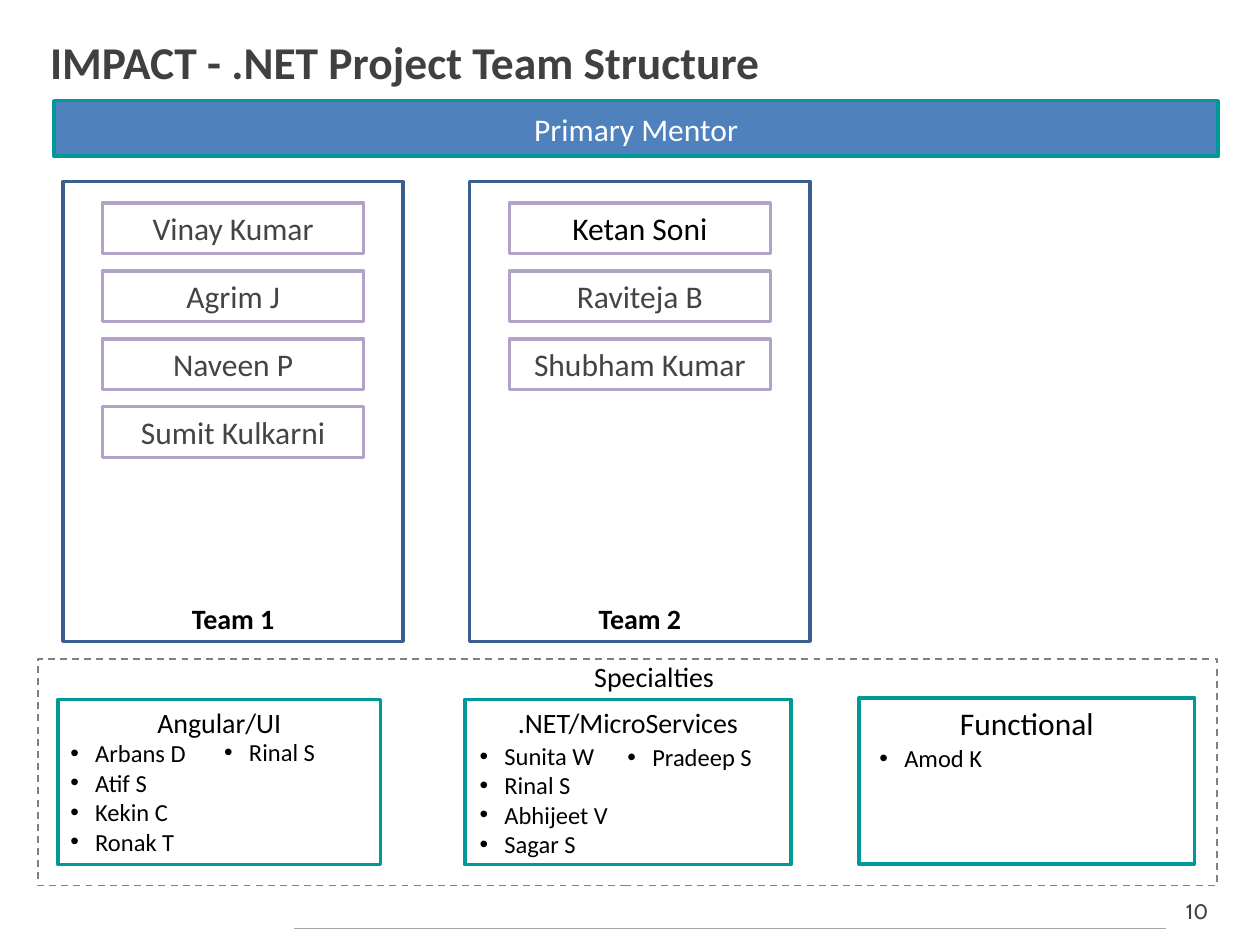
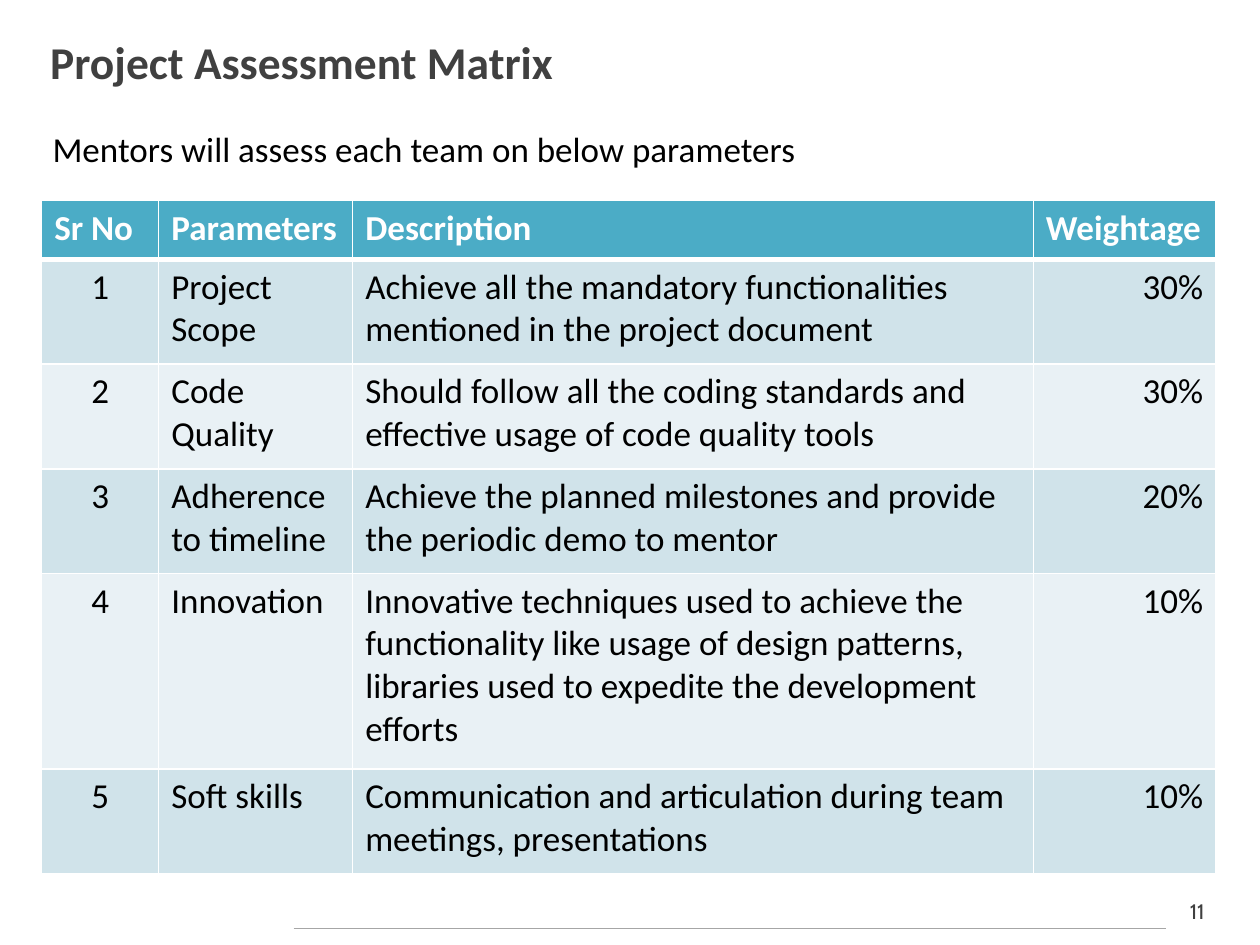
import pptx
import pptx.util
import pptx.dml.color
import pptx.enum.dml
import pptx.enum.shapes
import pptx.enum.text
import pptx.oxml.ns
from dataclasses import dataclass
from lxml import etree

Cm, Pt = pptx.util.Cm, pptx.util.Pt
ALIGN = pptx.enum.text.PP_ALIGN
ANCHOR = pptx.enum.text.MSO_ANCHOR
qn = pptx.oxml.ns.qn


@dataclass(frozen=True)
class Theme:
    font: str = "Calibri"
    number_font: str = "Cabin"
    title_size: int = 26
    lead_size: int = 20
    name_size: int = 18
    label_size: int = 16
    list_size: int = 14
    number_size: int = 12
    heading: str = "404040"
    ink: str = "000000"
    member_ink: str = "444444"
    white: str = "FFFFFF"
    rule: str = "A6A6A6"
    dashes: str = "808080"
    mentor: str = "4F81BD"
    teal: str = "009999"
    team: str = "3A5F8C"
    member: str = "B3A2C7"
    header: str = "4BACC6"
    bands: tuple = ("D0E3EA", "E9F1F5")


THEME = Theme()

# Content: team structure
TEAMS = [
    ("Team 1", ["Vinay Kumar", "Agrim J", "Naveen P", "Sumit Kulkarni"]),
    ("Team 2", ["Ketan Soni", "Raviteja B", "Shubham Kumar"]),
]
TEAM_LEADS_IN_BLACK = {"Ketan Soni"}

# Each specialty: name, type size, box, then its lists as (place, people)
SPECIALTIES = [
    ("Angular/UI", THEME.label_size, (1.17, 14.1, 6.5, 3.33), [
        ((1.17, 14.76, 3.71, 2.64), ["Arbans D", "Atif S", "Kekin C", "Ronak T"]),
        ((4.27, 14.73, 3.4, 0.86), ["Rinal S"]),
    ]),
    (".NET/MicroServices", THEME.label_size, (9.37, 14.1, 6.58, 3.33), [
        ((9.42, 14.81, 3.33, 2.64), ["Sunita W", "Rinal S", "Abhijeet V", "Sagar S"]),
        ((12.4, 14.83, 3.73, 0.86), ["Pradeep S"]),
    ]),
    ("Functional", THEME.name_size, (17.32, 14.07, 6.76, 3.35), [
        ((17.48, 14.86, 3.96, 1.45), ["Amod K"]),
    ]),
]

# Content: assessment matrix
MATRIX_HEAD = ("Sr No", "Parameters", "Description", "Weightage")
CRITERIA = [
    ("Project Scope", "Achieve all the mandatory functionalities mentioned in the project document", "30%"),
    ("Code Quality", "Should follow all the coding standards and effective usage of code quality tools", "30%"),
    ("Adherence to timeline", "Achieve the planned milestones and provide the periodic demo to mentor", "20%"),
    ("Innovation", "Innovative techniques used to achieve the functionality like usage of design "
                   "patterns, libraries used to expedite the development efforts", "10%"),
    ("Soft skills", "Communication and articulation during team meetings, presentations", "10%"),
]
COLUMN_WIDTHS = (2.36, 3.91, 13.72, 3.68)
COLUMN_ALIGNS = (ALIGN.CENTER, ALIGN.LEFT, ALIGN.LEFT, ALIGN.RIGHT)
ROW_HEIGHTS = (1.19, 2.11, 2.11, 2.11, 3.94, 2.11)


def rgb(colour):
    return pptx.dml.color.RGBColor.from_string(colour)


def write(frame, lines, size, colour, align=ALIGN.LEFT, bold=False, font=THEME.font):
    for number, line in enumerate(lines):
        paragraph = frame.add_paragraph() if number else frame.paragraphs[0]
        paragraph.text = line
        paragraph.alignment = align
        paragraph.font.name = font
        paragraph.font.size = Pt(size)
        paragraph.font.bold = bold
        paragraph.font.color.rgb = rgb(colour)


def add_text(slide, place, lines, size, colour, anchor=ANCHOR.TOP, **style):
    frame = slide.shapes.add_textbox(*map(Cm, place)).text_frame
    frame.word_wrap = True
    frame.vertical_anchor = anchor
    write(frame, lines, size, colour, **style)
    return frame


def add_box(slide, place, outline, text="", size=THEME.name_size, colour=THEME.ink,
            fill=None, width=2, anchor=ANCHOR.MIDDLE, bold=False):
    box = slide.shapes.add_shape(pptx.enum.shapes.MSO_SHAPE.RECTANGLE, *map(Cm, place))
    box.shadow.inherit = False
    if fill:
        box.fill.solid()
        box.fill.fore_color.rgb = rgb(fill)
    else:
        box.fill.background()
    box.line.color.rgb = rgb(outline)
    box.line.width = Pt(width)
    if text:
        box.text_frame.vertical_anchor = anchor
        write(box.text_frame, [text], size, colour, ALIGN.CENTER, bold)
    return box


def add_bullets(slide, place, people):
    frame = add_text(slide, place, people, THEME.list_size, THEME.ink)
    for paragraph in frame.paragraphs:
        properties = paragraph._p.get_or_add_pPr()
        properties.set("marL", str(Cm(0.5)))
        properties.set("indent", str(-Cm(0.5)))
        bullet_font = etree.SubElement(properties, qn("a:buFont"))
        bullet_font.set("typeface", "Arial")
        etree.SubElement(properties, qn("a:buChar")).set("char", "•")


def add_page(deck, title, number):
    """Blank slide with the shared title, footer rule and page number."""
    slide = deck.slides.add_slide(deck.slide_layouts[6])
    add_text(slide, (23.5, 17.98, 1.27, 0.76), [str(number)], THEME.number_size,
             THEME.heading, align=ALIGN.CENTER, font=THEME.number_font)
    rule = slide.shapes.add_connector(pptx.enum.shapes.MSO_CONNECTOR.STRAIGHT,
                                      Cm(5.92), Cm(18.72), Cm(23.5), Cm(18.72))
    rule.line.color.rgb = rgb(THEME.rule)
    rule.line.width = Pt(0.75)
    etree.SubElement(rule._element.spPr, qn("a:effectLst"))
    add_text(slide, (0.76, 0.43, 23.77, 1.6), [title], THEME.title_size, THEME.heading,
             ANCHOR.MIDDLE, bold=True)
    return slide


def set_borders(cell, **widths):
    properties = cell._tc.get_or_add_tcPr()
    for side in "LRTB":
        line = etree.SubElement(properties, qn(f"a:ln{side}"))
        line.set("w", str(Pt(widths.get(side, 1))))
        fill = etree.SubElement(line, qn("a:solidFill"))
        etree.SubElement(fill, qn("a:srgbClr")).set("val", THEME.white)


def build_team_structure(deck):
    slide = add_page(deck, "IMPACT - .NET Project Team Structure", 10)
    add_box(slide, (1.09, 2.03, 23.47, 1.12), THEME.teal, "Primary Mentor",
            colour=THEME.white, fill=THEME.mentor)

    # Teams, with members stacked at an even pitch
    team_top, team_pitch, member_pitch = 3.66, 8.2, 1.37
    for column, (team, members) in enumerate(TEAMS):
        left = 1.27 + column * team_pitch
        add_box(slide, (left, team_top, 6.86, 9.27), THEME.team, team,
                THEME.label_size, anchor=ANCHOR.BOTTOM, bold=True)
        for row, member in enumerate(members):
            colour = THEME.ink if member in TEAM_LEADS_IN_BLACK else THEME.member_ink
            add_box(slide, (left + 0.8, team_top + 0.43 + row * member_pitch, 5.26, 1.02),
                    THEME.member, member, colour=colour)

    # Specialties
    frame = add_box(slide, (0.76, 13.28, 23.77, 4.57), THEME.dashes, width=1)
    frame.line.dash_style = pptx.enum.dml.MSO_LINE.DASH
    add_text(slide, (11.73, 13.18, 3.96, 0.94), ["Specialties"], THEME.label_size, THEME.ink)
    for specialty, size, place, lists in SPECIALTIES:
        add_box(slide, place, THEME.teal, specialty, size, anchor=ANCHOR.TOP)
        for list_place, people in lists:
            add_bullets(slide, list_place, people)


def build_assessment_matrix(deck):
    slide = add_page(deck, "Project Assessment Matrix", 11)
    add_text(slide, (0.81, 2.44, 23.7, 1.19),
             ["Mentors will assess each team on below parameters"], THEME.lead_size, THEME.ink)

    rows = [MATRIX_HEAD] + [(str(n), *criterion) for n, criterion in enumerate(CRITERIA, 1)]
    matrix = slide.shapes.add_table(len(rows), len(MATRIX_HEAD), Cm(0.84), Cm(4.04),
                                    Cm(sum(COLUMN_WIDTHS)), Cm(sum(ROW_HEIGHTS))).table
    for column, width in zip(matrix.columns, COLUMN_WIDTHS):
        column.width = Cm(width)
    for r, (texts, height) in enumerate(zip(rows, ROW_HEIGHTS)):
        matrix.rows[r].height = Cm(height)
        head = r == 0
        for c, text in enumerate(texts):
            cell = matrix.cell(r, c)
            write(cell.text_frame, [text], THEME.lead_size,
                  THEME.white if head else THEME.ink,
                  ALIGN.LEFT if head else COLUMN_ALIGNS[c], bold=head)
            set_borders(cell, B=3 if head else 1, T=3 if r == 1 else 1)
            cell.fill.solid()
            cell.fill.fore_color.rgb = rgb(THEME.header if head else THEME.bands[(r - 1) % 2])


def main():
    deck = pptx.Presentation()
    deck.slide_width, deck.slide_height = Cm(25.4), Cm(19.05)
    build_team_structure(deck)
    build_assessment_matrix(deck)
    deck.save("out.pptx")


if __name__ == "__main__":
    main()
